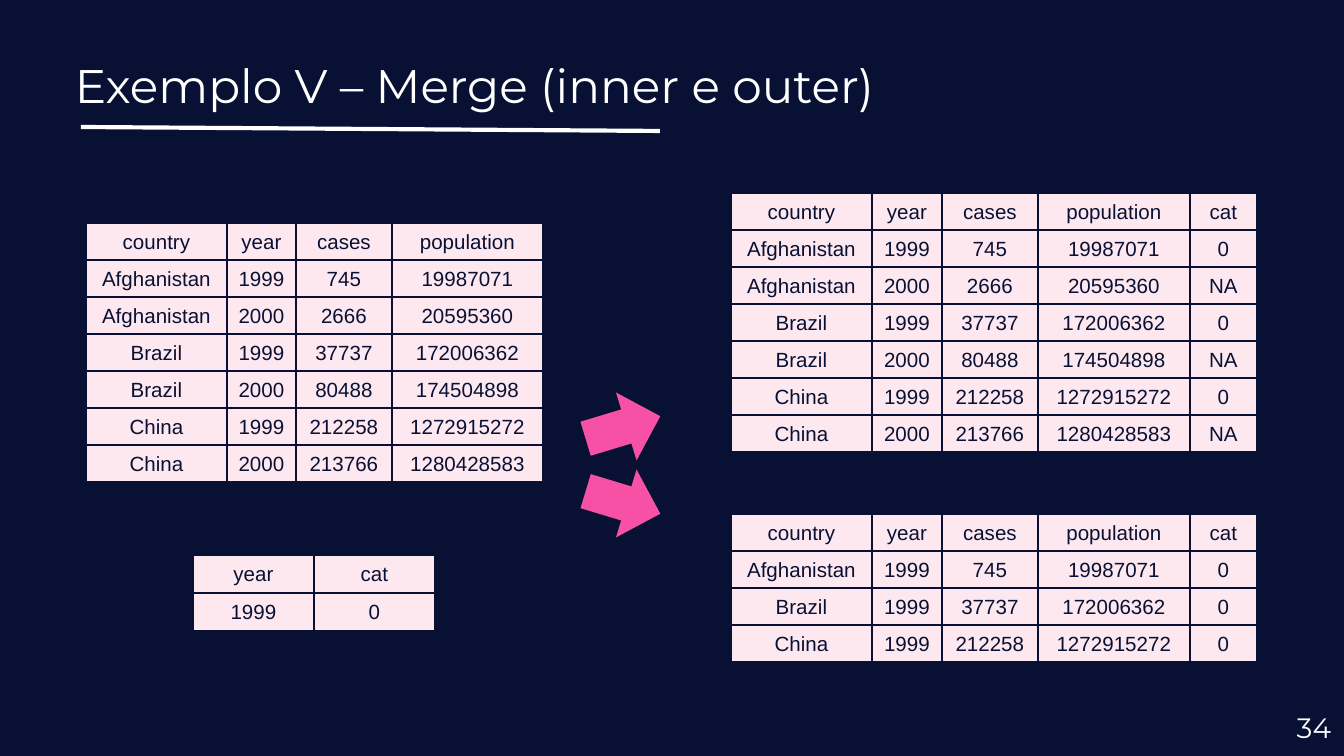
from lxml.etree import SubElement
from pptx import Presentation
from pptx.dml.color import RGBColor
from pptx.enum.shapes import MSO_CONNECTOR, MSO_SHAPE
from pptx.enum.text import MSO_ANCHOR as Anchor, PP_ALIGN as Align
from pptx.oxml.ns import qn
from pptx.util import Emu, Pt

NAVY = RGBColor(0x08, 0x11, 0x33)
WHITE = RGBColor(0xFF, 0xFF, 0xFF)
BLUSH = RGBColor(0xFD, 0xE8, 0xF0)
PINK = RGBColor(0xF7, 0x51, 0xA5)

TITLE = "Exemplo V – Merge (inner e outer)"
PAGE_NUMBER = "34"
CASES = [
    ("country", "year", "cases", "population"),
    ("Afghanistan", "1999", "745", "19987071"),
    ("Afghanistan", "2000", "2666", "20595360"),
    ("Brazil", "1999", "37737", "172006362"),
    ("Brazil", "2000", "80488", "174504898"),
    ("China", "1999", "212258", "1272915272"),
    ("China", "2000", "213766", "1280428583"),
]
CATEGORIES = [("year", "cat"), ("1999", "0")]

# The merges look up each row's year; the header matches the header.
cat_by_year = dict(CATEGORIES)
OUTER = [row + (cat_by_year.get(row[1], "NA"),) for row in CASES]
INNER = [row for row in OUTER if row[1] in cat_by_year]

CASES_COLUMNS = [141, 69, 96, 151]
MERGED_COLUMNS = [141, 70, 96, 152, 67]
# rows, left, top, column widths, row height
TABLES = [
    (CASES, 86, 223, CASES_COLUMNS, 37),
    (CATEGORIES, 193, 555, [121, 121], 38),
    (OUTER, 731, 193, MERGED_COLUMNS, 37),
    (INNER, 731, 514, MERGED_COLUMNS, 37),
]
ARROWS = [(392, -16.8), (467, 16.8)]  # top, rotation


def px(length):
    return Emu(round(length * 914400 / 134.4))


def style(para, size, font, color, align):
    para.alignment = align
    for run in para.runs:
        run.font.size = Pt(size)
        run.font.name = font
        run.font.color.rgb = color


def add_text(page, text, bounds, size, align, anchor):
    box = page.shapes.add_textbox(*map(px, bounds))
    frame = box.text_frame
    frame.word_wrap = True
    frame.vertical_anchor = anchor
    frame.margin_left = frame.margin_right = px(13)
    frame.margin_top = frame.margin_bottom = px(13)
    frame.text = text
    style(frame.paragraphs[0], size, "Montserrat", WHITE, align)


def add_borders(cell):
    """Draw the four cell sides; must run before the fill is set."""
    properties = cell._tc.get_or_add_tcPr()
    for side in ("a:lnL", "a:lnR", "a:lnT", "a:lnB"):
        line = SubElement(properties, qn(side), w=str(Pt(1)))
        fill = SubElement(line, qn("a:solidFill"))
        SubElement(fill, qn("a:srgbClr"), val=str(NAVY))


def add_data_table(page, rows, left, top, widths, row_height):
    bounds = (left, top, sum(widths), row_height * len(rows))
    table = page.shapes.add_table(len(rows), len(widths), *map(px, bounds)).table
    table.first_row = table.horz_banding = False
    for column, width in zip(table.columns, widths):
        column.width = px(width)
    for row_index, row in enumerate(rows):
        table.rows[row_index].height = px(row_height)
        for column_index, text in enumerate(row):
            cell = table.cell(row_index, column_index)
            add_borders(cell)
            cell.fill.solid()
            cell.fill.fore_color.rgb = BLUSH
            cell.vertical_anchor = Anchor.MIDDLE
            cell.margin_left = cell.margin_right = cell.margin_top = px(1)
            cell.margin_bottom = 0
            cell.text = text
            style(cell.text_frame.paragraphs[0], 11, "Arial", NAVY, Align.CENTER)


def add_arrow(page, top, rotation):
    arrow = page.shapes.add_shape(MSO_SHAPE.RIGHT_ARROW, *map(px, (584, top, 78, 71)))
    arrow.rotation = rotation
    arrow.shadow.inherit = False
    arrow.fill.solid()
    arrow.fill.fore_color.rgb = PINK
    arrow.line.fill.background()


def add_underline(page):
    underline = page.shapes.add_connector(
        MSO_CONNECTOR.STRAIGHT, *map(px, (81, 127, 660, 131)))
    underline.line.color.rgb = WHITE
    underline.line.width = Pt(2.25)
    SubElement(underline._element.spPr, qn("a:effectLst"))


def main():
    deck = Presentation()
    deck.slide_width, deck.slide_height = px(1344), px(756)
    page = deck.slides.add_slide(deck.slide_layouts[6])
    page.background.fill.solid()
    page.background.fill.fore_color.rgb = NAVY

    add_underline(page)
    add_text(page, TITLE, (62, 43, 1253, 85), 25.2, Align.LEFT, Anchor.TOP)
    add_text(page, PAGE_NUMBER, (1263, 698, 81, 58), 15, Align.RIGHT, Anchor.MIDDLE)
    for table in TABLES:
        add_data_table(page, *table)
    for arrow in ARROWS:
        add_arrow(page, *arrow)
    deck.save("out.pptx")


if __name__ == "__main__":
    main()
